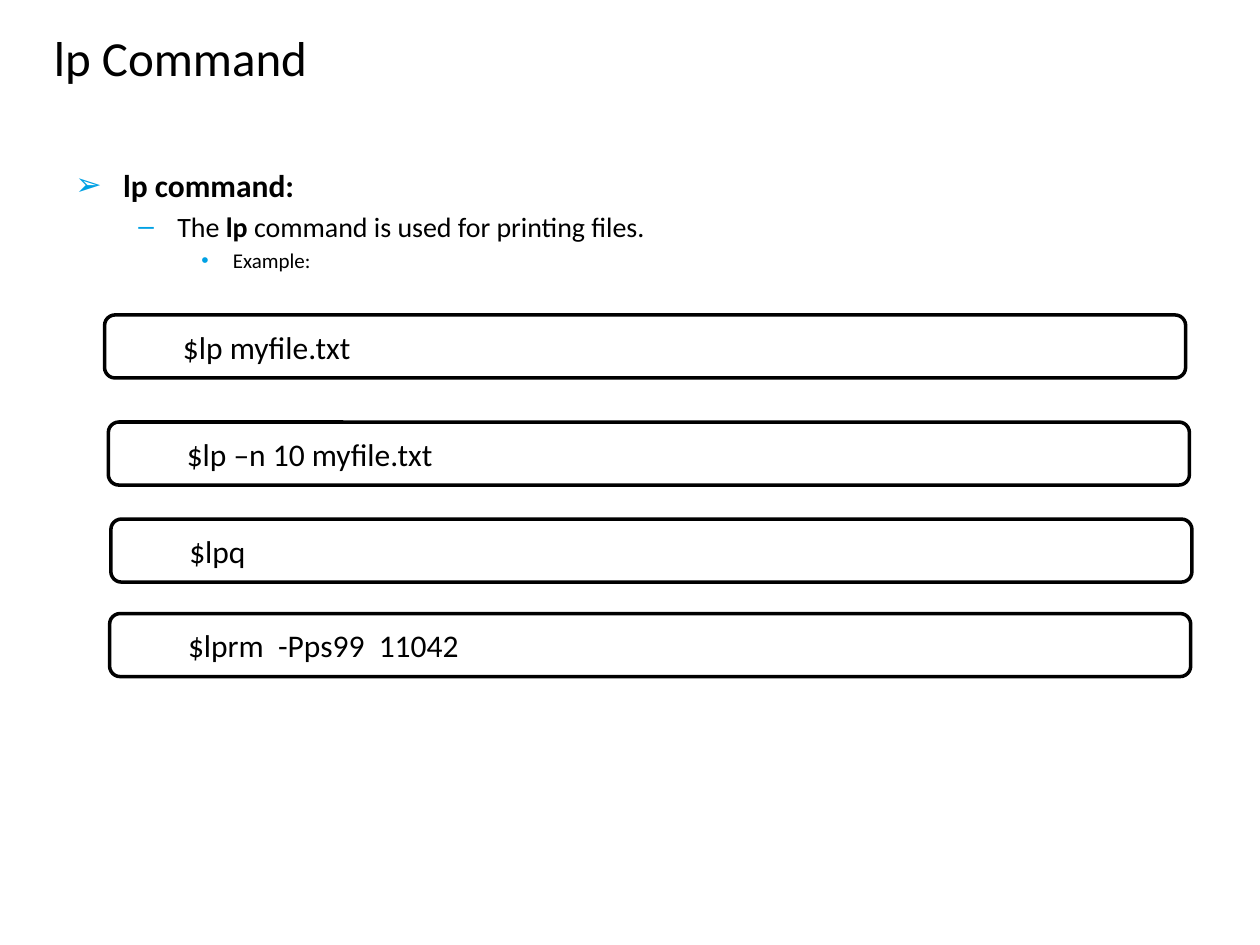
"""Build a slide that introduces the lp printing commands."""
import pptx
import pptx.dml.color
import pptx.enum.shapes
import pptx.enum.text
import pptx.util
import lxml.etree

WIDTH, HEIGHT = 10, 7.5
FONT = "Calibri"
BLACK, WHITE, BULLET_BLUE = "000000", "FFFFFF", "00A1E4"
BULLETS = [
    ("➢", 18, 0.38, 0.38, [("lp command:", True)]),
    ("–", 16, 0.81, 0.31, [("The ", False), ("lp ", True),
                           ("command is used for printing files.", False)]),
    ("•", 12, 1.25, 0.25, [("Example:", False)]),
]
COMMANDS = [
    (0.83, 2.5, "$lp myfile.txt"),
    (0.86, 3.35, "$lp –n 10 myfile.txt"),
    (0.88, 4.12, "$lpq"),
    (0.87, 4.87, "$lprm  -Pps99  11042"),
]


def colour(value):
    """Return the colour of a hex string."""
    return pptx.dml.color.RGBColor.from_string(value)


def box(*lengths):
    """Convert left, top, width and height from inches."""
    return [pptx.util.Inches(length) for length in lengths]


def format_run(run, size, bold=False):
    """Apply the slide's font to a run."""
    run.font.name = FONT
    run.font.size = pptx.util.Pt(size)
    run.font.bold = bold
    run.font.color.rgb = colour(BLACK)


def add_bullet(paragraph, character, margin, hang):
    """Give a paragraph a coloured bullet with a hanging indent."""
    properties = paragraph._p.get_or_add_pPr()
    properties.set("marL", str(pptx.util.Inches(margin)))
    properties.set("indent", str(-pptx.util.Inches(hang)))
    namespace = "{%s}" % properties.nsmap["a"]
    bullet_colour = lxml.etree.SubElement(properties, namespace + "buClr")
    lxml.etree.SubElement(bullet_colour, namespace + "srgbClr", val=BULLET_BLUE)
    lxml.etree.SubElement(properties, namespace + "buFont", typeface="Arial")
    lxml.etree.SubElement(properties, namespace + "buChar", char=character)


def add_title(slide, text):
    """Add the title across the top of the slide."""
    shape = slide.shapes.add_textbox(*box(0.33, 0.02, 0.9 * WIDTH, 0.87))
    text_frame = shape.text_frame
    text_frame.word_wrap = True
    text_frame.vertical_anchor = pptx.enum.text.MSO_ANCHOR.MIDDLE
    text_frame.text = text
    format_run(text_frame.paragraphs[0].runs[0], 28)


def add_body(slide, bullets):
    """Add the bulleted outline, one level per entry."""
    shape = slide.shapes.add_textbox(*box(0.5, 1.27, 0.9 * WIDTH, 5.43))
    text_frame = shape.text_frame
    text_frame.word_wrap = True
    for level, (character, size, margin, hang, pieces) in enumerate(bullets):
        paragraph = text_frame.add_paragraph() if level else text_frame.paragraphs[0]
        paragraph.level = level
        paragraph.space_before = pptx.util.Pt(0.2 * size)
        add_bullet(paragraph, character, margin, hang)
        for text, bold in pieces:
            run = paragraph.add_run()
            run.text = text
            format_run(run, size, bold)


def add_command(slide, left, top, text):
    """Add a rounded frame that holds one command line."""
    shape = slide.shapes.add_shape(
        pptx.enum.shapes.MSO_SHAPE.ROUNDED_RECTANGLE, *box(left, top, 8.58, 0.5))
    shape.shadow.inherit = False
    shape.fill.solid()
    shape.fill.fore_color.rgb = colour(WHITE)
    shape.line.color.rgb = colour(BLACK)
    shape.line.width = pptx.util.Pt(2)
    text_frame = shape.text_frame
    text_frame.word_wrap = True
    text_frame.vertical_anchor = pptx.enum.text.MSO_ANCHOR.MIDDLE
    text_frame.text = text
    paragraph = text_frame.paragraphs[0]
    paragraph.level = 1
    paragraph.alignment = pptx.enum.text.PP_ALIGN.LEFT
    properties = paragraph._p.get_or_add_pPr()
    properties.set("marL", str(pptx.util.Inches(0.5)))
    properties.set("indent", "0")
    format_run(paragraph.runs[0], 18)


def main():
    """Build and save the slide."""
    presentation = pptx.Presentation()
    presentation.slide_width = pptx.util.Inches(WIDTH)
    presentation.slide_height = pptx.util.Inches(HEIGHT)
    slide = presentation.slides.add_slide(presentation.slide_layouts[6])
    add_title(slide, "lp Command")
    add_body(slide, BULLETS)
    for left, top, text in COMMANDS:
        add_command(slide, left, top, text)
    presentation.save("out.pptx")


if __name__ == "__main__":
    main()
